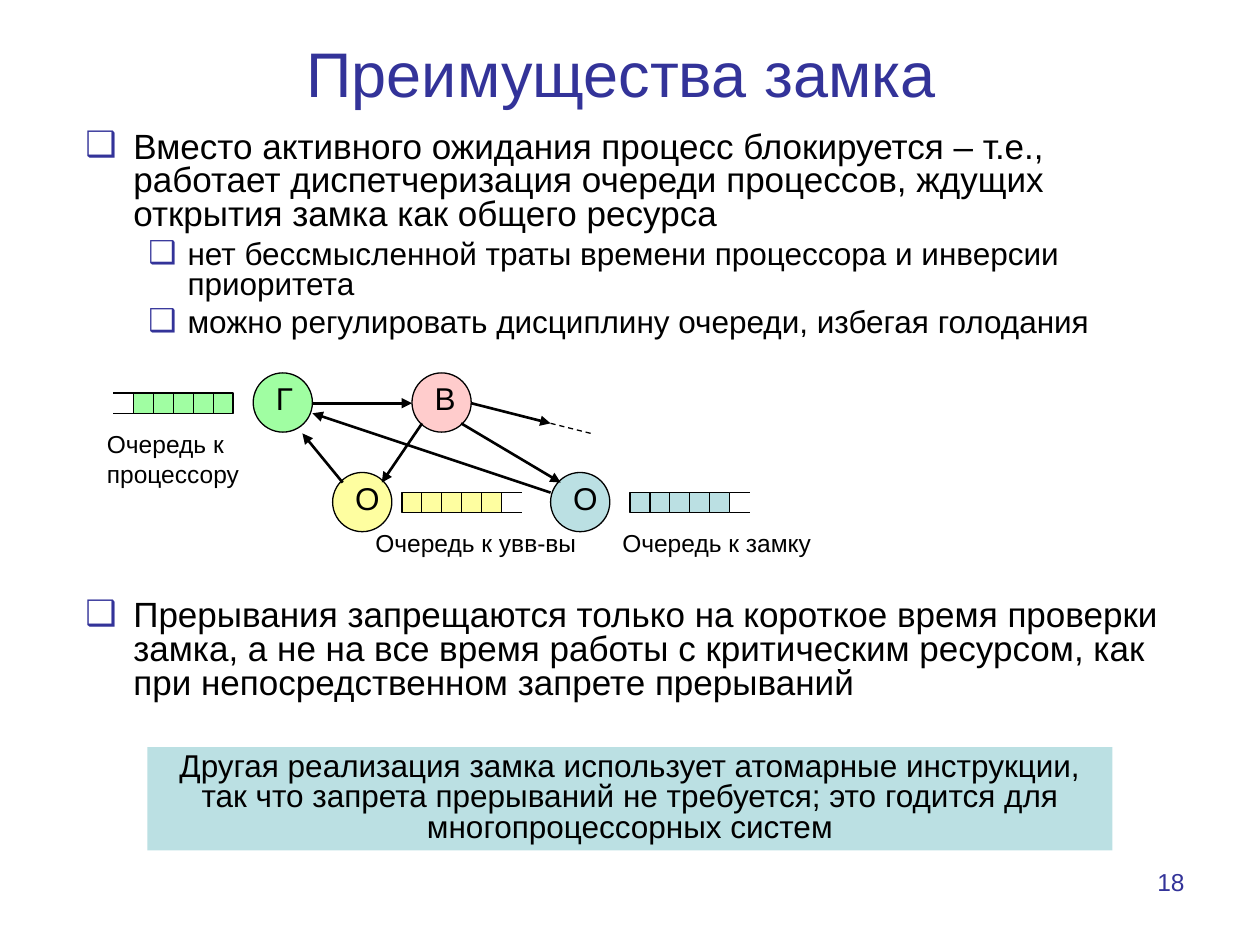
from lxml import etree
from pptx import Presentation, util as u
from pptx.dml.color import RGBColor
from pptx.enum import dml, shapes, text
from pptx.oxml.ns import qn

INK = {"black": "000000", "blue": "333399", "green": "A0FEA2",
       "yellow": "FEFEA0", "pink": "FFCCCC", "teal": "BBE0E3"}
LEFT, MID, RIGHT = text.PP_ALIGN.LEFT, text.PP_ALIGN.CENTER, text.PP_ALIGN.RIGHT

TITLE = "Преимущества замка "
TOP = [
    (0, "Вместо активного ожидания процесс блокируется – т.е., работает диспетчеризация "
        "очереди процессов, ждущих открытия замка как общего ресурса"),
    (1, "нет бессмысленной траты времени процессора и инверсии приоритета"),
    (1, "можно регулировать дисциплину очереди, избегая голодания"),
]
END = [
    (0, "Прерывания запрещаются только на короткое время проверки замка, а не на все время "
        "работы с критическим ресурсом, как при непосредственном запрете прерываний"),
]
NOTE = ("Другая реализация замка использует атомарные инструкции, так что запрета "
        "прерываний не требуется; это годится для многопроцессорных систем")
LEVELS = [dict(size=20, before=5, left=0.38, hang=0.38),
          dict(size=18, before=4.5, left=0.81, hang=0.31)]
STATES = [("Г", 2.01, 2.96, "green"), ("В", 3.27, 2.96, "pink"),
          ("О", 2.64, 3.75, "yellow"), ("О", 4.37, 3.75, "teal")]
QUEUES = [(1.06, 3.12, "green", "left"), (3.19, 3.91, "yellow", "right"),
          (5, 3.91, "teal", "right")]
LABELS = [(["Очередь к", "процессору"], 0.75, 3.36, 1.26, 0.57),
          (["Очередь к увв-вы"], 2.88, 4.14, 1.81, 0.34),
          (["Очередь к замку"], 4.84, 4.14, 1.81, 0.34)]
ARROWS = [(2.48, 3.2, 3.27, 3.2), (3.35, 3.36, 3.03, 3.83), (2.72, 3.83, 2.4, 3.44),
          (3.66, 3.36, 4.45, 3.83), (3.74, 3.2, 4.37, 3.36), (4.37, 3.91, 2.48, 3.28)]
DASH = (4.37, 3.36, 4.69, 3.44)
DISC, CELLS, LONG, HIGH, OPEN = 0.47, 5, 0.79, 0.16, 0.16

deck = Presentation()
deck.slide_width, deck.slide_height = u.Inches(10), u.Inches(7.5)
page = deck.slides.add_slide(deck.slide_layouts[6])


def rgb(name):
    return RGBColor.from_string(INK[name])


def bullet(para, left, hang):
    props = para._p.get_or_add_pPr()
    props.set("marL", str(u.Inches(left)))
    props.set("indent", str(-u.Inches(hang)))
    tint = etree.SubElement(props, qn("a:buClr"))
    etree.SubElement(tint, qn("a:srgbClr"), val=INK["blue"])
    etree.SubElement(props, qn("a:buFont"), typeface="Arial")
    etree.SubElement(props, qn("a:buChar"), char="❑")


def write(frame, lines, size=18, color="black", align=LEFT, before=0, gap=None,
          anchor=text.MSO_ANCHOR.TOP, left=0, hang=0, more=False):
    frame.word_wrap = True
    frame.vertical_anchor = anchor
    for i, line in enumerate(lines):
        para = frame.add_paragraph() if more or i else frame.paragraphs[0]
        para.alignment = align
        para.space_before = u.Pt(before)
        if gap:
            para.line_spacing = gap
        if hang:
            bullet(para, left, hang)
        run = para.add_run()
        run.text = line
        run.font.name = "Arial"
        run.font.size = u.Pt(size)
        run.font.color.rgb = rgb(color)


def box(*place):
    return page.shapes.add_textbox(*map(u.Inches, place)).text_frame


def body(items, *place):
    frame = box(*place)
    for i, (level, line) in enumerate(items):
        write(frame, [line], gap=0.8, more=i > 0, **LEVELS[level])


def form(kind, fill, *place, edge=True):
    item = page.shapes.add_shape(kind, *map(u.Inches, place))
    item.shadow.inherit = False
    item.fill.solid()
    item.fill.fore_color.rgb = rgb(fill)
    if edge:
        item.line.color.rgb = rgb("black")
        item.line.width = u.Pt(0.75)
    else:
        item.line.fill.background()
    return item


def line(*ends, width=0.75, head=False, dash=False):
    item = page.shapes.add_connector(shapes.MSO_CONNECTOR.STRAIGHT, *map(u.Inches, ends))
    item.line.color.rgb = rgb("black")
    item.line.width = u.Pt(width)
    if dash:
        item.line.dash_style = dml.MSO_LINE.DASH
    if head:
        etree.SubElement(item.line._get_or_add_ln(), qn("a:tailEnd"), type="triangle")
    etree.SubElement(item._element.spPr, qn("a:effectLst"))


def queue(x, y, fill, side):
    form(shapes.MSO_SHAPE.RECTANGLE, fill, x, y, LONG, HIGH)
    step = LONG / CELLS
    for i in range(1, CELLS):
        line(x + i * step, y, x + i * step, y + HIGH)
    start = x - OPEN if side == "left" else x + LONG
    for edge in (y, y + HIGH):
        line(start, edge, start + OPEN, edge)


write(box(0.35, 0, 9.3, 1.15), [TITLE], size=36, color="blue", align=MID,
      anchor=text.MSO_ANCHOR.MIDDLE)
body(TOP, 0.58, 1, 8.98, 1.85)
body(END, 0.58, 4.72, 8.98, 1.0)
note = form(shapes.MSO_SHAPE.RECTANGLE, "teal", 1.17, 5.93, 7.66, 0.82, edge=False)
write(note.text_frame, [NOTE], align=MID, before=4.5, gap=0.8)

for name, x, y, fill in STATES:
    form(shapes.MSO_SHAPE.OVAL, fill, x, y, DISC, DISC)
    write(box(x + 0.08, y, 0.31, 0.4), [name])
for item in QUEUES:
    queue(*item)
for ends in ARROWS:
    line(*ends, width=1.5, head=True)
line(*DASH, dash=True)
for lines, *place in LABELS:
    write(box(*place), lines, size=14)
write(box(7.17, 6.83, 2.33, 0.52), ["18"], size=14, color="blue", align=RIGHT)

deck.save("out.pptx")
